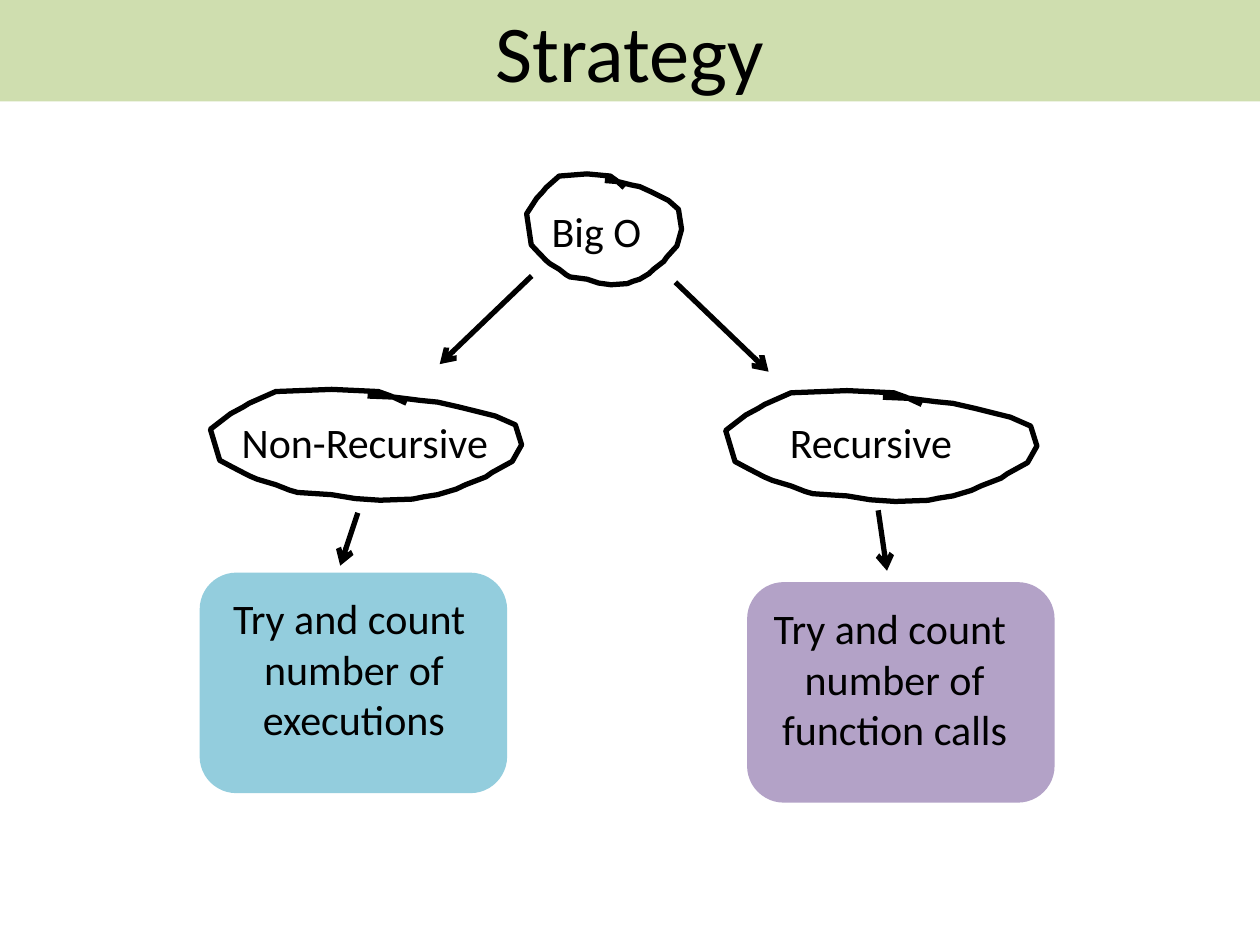
from lxml import etree
from pptx import Presentation
from pptx.dml.color import RGBColor
from pptx.enum.shapes import MSO_CONNECTOR, MSO_SHAPE
from pptx.enum.text import MSO_ANCHOR, MSO_AUTO_SIZE, PP_ALIGN
from pptx.oxml.ns import qn
from pptx.util import Inches, Pt

STRAIGHT = MSO_CONNECTOR.STRAIGHT
RECTANGLE, ROUNDED = MSO_SHAPE.RECTANGLE, MSO_SHAPE.ROUNDED_RECTANGLE
LEFT, CENTER = PP_ALIGN.LEFT, PP_ALIGN.CENTER
MIDDLE = MSO_ANCHOR.MIDDLE
FIT_TEXT = MSO_AUTO_SIZE.SHAPE_TO_FIT_TEXT

WIDTH, HEIGHT = Inches(10), Inches(7.5)
COLUMNS, ROWS = 100, 75
INK = "000000"
STROKE = Pt(3)

SKETCHED_OVAL = [
    (63, 12.5), (58, 6), (54, 2), (39, 0), (21, 2), (12.5, 12.5), (10.5, 16),
    (6.5, 22), (0, 36), (3, 64), (7, 70), (12.5, 78), (15, 81), (21, 86),
    (25.5, 91), (28, 93), (39, 95), (46.5, 98.5), (54.5, 100), (65, 99),
    (68.5, 97), (73, 95), (79, 90), (82, 86), (88.5, 79), (90.5, 75),
    (97, 65), (100, 50), (98, 32), (91.5, 24), (80, 16), (73, 11.5),
    (67.5, 10), (59, 7), (50.5, 6),
]
OVALS = [(41.8, 13.8, 12.3, 8.8), (16.7, 30.9, 24.7, 8.8), (57.6, 31, 24.7, 8.8)]
CARDS = [(59.3, 46.2, 24.4, 17.5, "B3A2C7"), (15.85, 45.45, 24.4, 17.5, "93CDDD")]
LABELS = [
    ("Recursive", 61.7, 32.6, 15.2, 5),
    ("Non-Recursive", 18.2, 32.6, 21.9, 5),
    ("Big O", 42.8, 15.8, 9.2, 5),
]
ADVICE = [
    ("Try and count  number of executions", 17.1, 46.55, 22, 13.1),
    ("Try and count  number of function calls", 60, 47.35, 22, 13.1),
]
ARROWS = [
    ((42.2, 21.9), (34.9, 28.9)),
    ((53.6, 22.4), (61, 29.5)),
    ((69.7, 40.5), (70.4, 45.3)),
    ((28.4, 40.7), (27, 44.9)),
]


def color(value):
    """Turn a hex string into a colour."""
    return RGBColor.from_string(value)


def place(column, row):
    """Turn a grid position into slide lengths."""
    return round(WIDTH * column / COLUMNS), round(HEIGHT * row / ROWS)


def write(shape, text, size, align=CENTER):
    """Write one paragraph into a shape."""
    para = shape.text_frame.paragraphs[0]
    para.alignment = align
    span = para.add_run()
    span.text = text
    for name, value in {"name": "Calibri", "size": Pt(size)}.items():
        setattr(span.font, name, value)
    span.font.color.rgb = color(INK)


def add_block(page, kind, column, row, columns, rows, fill, opacity=100):
    """Add a filled shape without an outline."""
    block = page.shapes.add_shape(kind, *place(column, row), *place(columns, rows))
    block.shadow.inherit = False
    block.fill.solid()
    block.fill.fore_color.rgb = color(fill)
    block.line.fill.background()
    if opacity < 100:
        tint = block.fill._xPr.find(qn("a:solidFill"))[0]
        etree.SubElement(tint, qn("a:alpha"), val=str(opacity * 1000))
    return block


def add_text(page, text, column, row, columns, rows, align, wrap):
    """Add a text box at a grid position."""
    box = page.shapes.add_textbox(*place(column, row), *place(columns, rows))
    frame_format = {"word_wrap": wrap, "auto_size": FIT_TEXT}
    for name, value in frame_format.items():
        setattr(box.text_frame, name, value)
    write(box, text, 24, align)


def add_oval(page, column, row, columns, rows):
    """Add a hand-sketched oval that fills a grid area."""
    points = [
        place(column + columns * x / 100, row + rows * y / 100)
        for x, y in SKETCHED_OVAL
    ]
    builder = page.shapes.build_freeform(*points[0])
    builder.add_line_segments(points[1:], close=False)
    oval = builder.convert_to_shape()
    oval.shadow.inherit = False
    oval.fill.background()
    oval.line.color.rgb = color(INK)
    oval.line.width = STROKE


def add_arrow(page, start, end):
    """Add a straight arrow between two grid positions."""
    arrow = page.shapes.add_connector(STRAIGHT, *place(*start), *place(*end))
    arrow.line.color.rgb = color(INK)
    arrow.line.width = STROKE
    etree.SubElement(arrow.line._get_or_add_ln(), qn("a:tailEnd"), type="arrow")
    etree.SubElement(arrow._element.spPr, qn("a:effectLst"))


def main():
    """Build the strategy slide."""
    deck = Presentation()
    deck.slide_width, deck.slide_height = WIDTH, HEIGHT
    page = deck.slides.add_slide(deck.slide_layouts[6])
    for card in CARDS:
        add_block(page, ROUNDED, *card)
    banner = add_block(page, RECTANGLE, 0, 0, COLUMNS, 8.05, "C3D69B", 80)
    banner.text_frame.vertical_anchor = MIDDLE
    write(banner, "Strategy", 46)
    for label in LABELS:
        add_text(page, *label, LEFT, False)
    for advice in ADVICE:
        add_text(page, *advice, CENTER, True)
    for oval in OVALS:
        add_oval(page, *oval)
    for start, end in ARROWS:
        add_arrow(page, start, end)
    deck.save("out.pptx")


if __name__ == "__main__":
    main()
